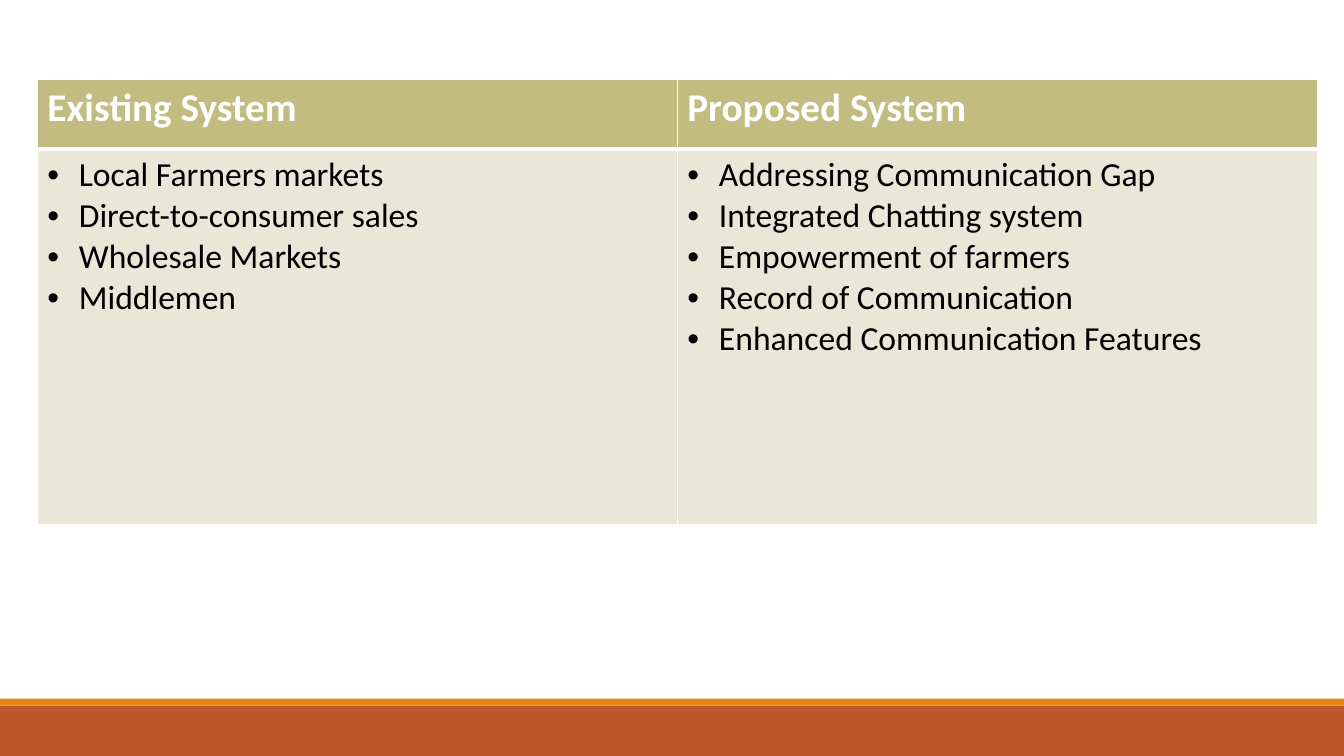
"""Build a slide that compares the existing and the proposed system."""
from dataclasses import dataclass

from lxml.etree import SubElement
from pptx import Presentation
from pptx.dml.color import RGBColor
from pptx.enum.shapes import MSO_SHAPE
from pptx.oxml.ns import qn
from pptx.util import Pt


@dataclass
class Band:
    top: float
    height: float
    color: str


@dataclass
class Column:
    head: str
    items: list[str]


WIDTH, HEIGHT = 960, 540
LEFT, TOP, SPAN = 26.64, 56.88, 914.4
ROWS = [49.68, 267.84]
INDENT = 22.5
HEAD = {"name": "Calibri", "size": Pt(28), "bold": True}
BODY = {"name": "Calibri", "size": Pt(24), "bold": False}
BANDS = [Band(504, 36, "BD582C"), Band(499, 5, "E48312")]
COLUMNS = [
    Column("Existing System", [
        "Local Farmers markets",
        "Direct-to-consumer sales",
        "Wholesale Markets",
        "Middlemen",
    ]),
    Column("Proposed System", [
        "Addressing Communication Gap",
        "Integrated Chatting system",
        "Empowerment of farmers",
        "Record of Communication",
        "Enhanced Communication Features",
    ]),
]


def paint(fill, color: str) -> None:
    fill.solid()
    fill.fore_color.rgb = RGBColor.from_string(color)


def draw_band(slide, band: Band) -> None:
    shape = slide.shapes.add_shape(
        MSO_SHAPE.RECTANGLE, 0, Pt(band.top), Pt(WIDTH), Pt(band.height))
    shape.shadow.inherit = False
    paint(shape.fill, band.color)
    shape.line.fill.background()


def add_edges(cell, widths: dict[str, float]) -> None:
    props = cell._tc.get_or_add_tcPr()
    for side, width in widths.items():
        edge = SubElement(props, qn(f"a:ln{side}"), w=str(Pt(width)))
        fill = SubElement(edge, qn("a:solidFill"))
        SubElement(fill, qn("a:srgbClr"), val="FFFFFF")


def add_bullet(para) -> None:
    props = para._p.get_or_add_pPr()
    props.set("marL", str(Pt(INDENT)))
    props.set("indent", str(-Pt(INDENT)))
    SubElement(props, qn("a:buFont"), typeface="Arial")
    SubElement(props, qn("a:buChar"), char="•")


def fill_cell(cell, lines: list[str], style: dict, ink: str, back: str,
              edges: dict[str, float], listed: bool) -> None:
    add_edges(cell, edges)
    paint(cell.fill, back)
    cell.text = "\n".join(lines)
    for para in cell.text_frame.paragraphs:
        if listed:
            add_bullet(para)
        font = para.runs[0].font
        for key, value in style.items():
            setattr(font, key, value)
        paint(font.fill, ink)


def draw_table(slide, columns: list[Column]) -> None:
    frame = slide.shapes.add_table(
        len(ROWS), len(columns), Pt(LEFT), Pt(TOP), Pt(SPAN), Pt(sum(ROWS)))
    table = frame.table
    for row, height in zip(table.rows, ROWS):
        row.height = Pt(height)
    for index, column in enumerate(columns):
        table.columns[index].width = Pt(SPAN / len(columns))
        fill_cell(table.cell(0, index), [column.head], HEAD, "FFFFFF",
                  "C2BC80", {"L": 1, "R": 1, "T": 1, "B": 3}, False)
        fill_cell(table.cell(1, index), column.items, BODY, "000000",
                  "E9E7D8", {"L": 1, "R": 1, "T": 3, "B": 1}, True)


def main() -> None:
    deck = Presentation()
    deck.slide_width, deck.slide_height = Pt(WIDTH), Pt(HEIGHT)
    slide = deck.slides.add_slide(deck.slide_layouts[6])
    paint(slide.background.fill, "FFFFFF")
    for band in BANDS:
        draw_band(slide, band)
    draw_table(slide, COLUMNS)
    deck.save("out.pptx")


if __name__ == "__main__":
    main()
